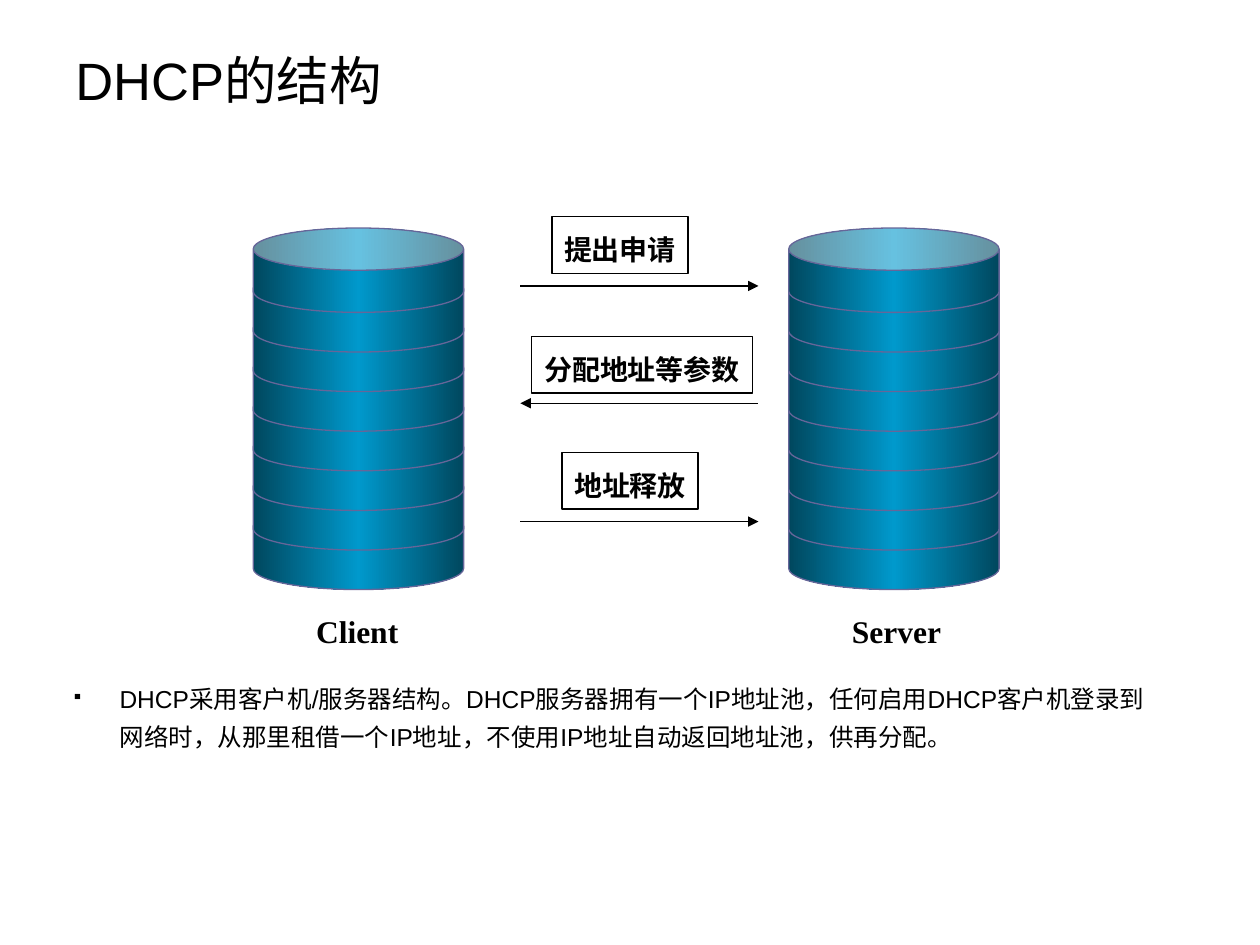
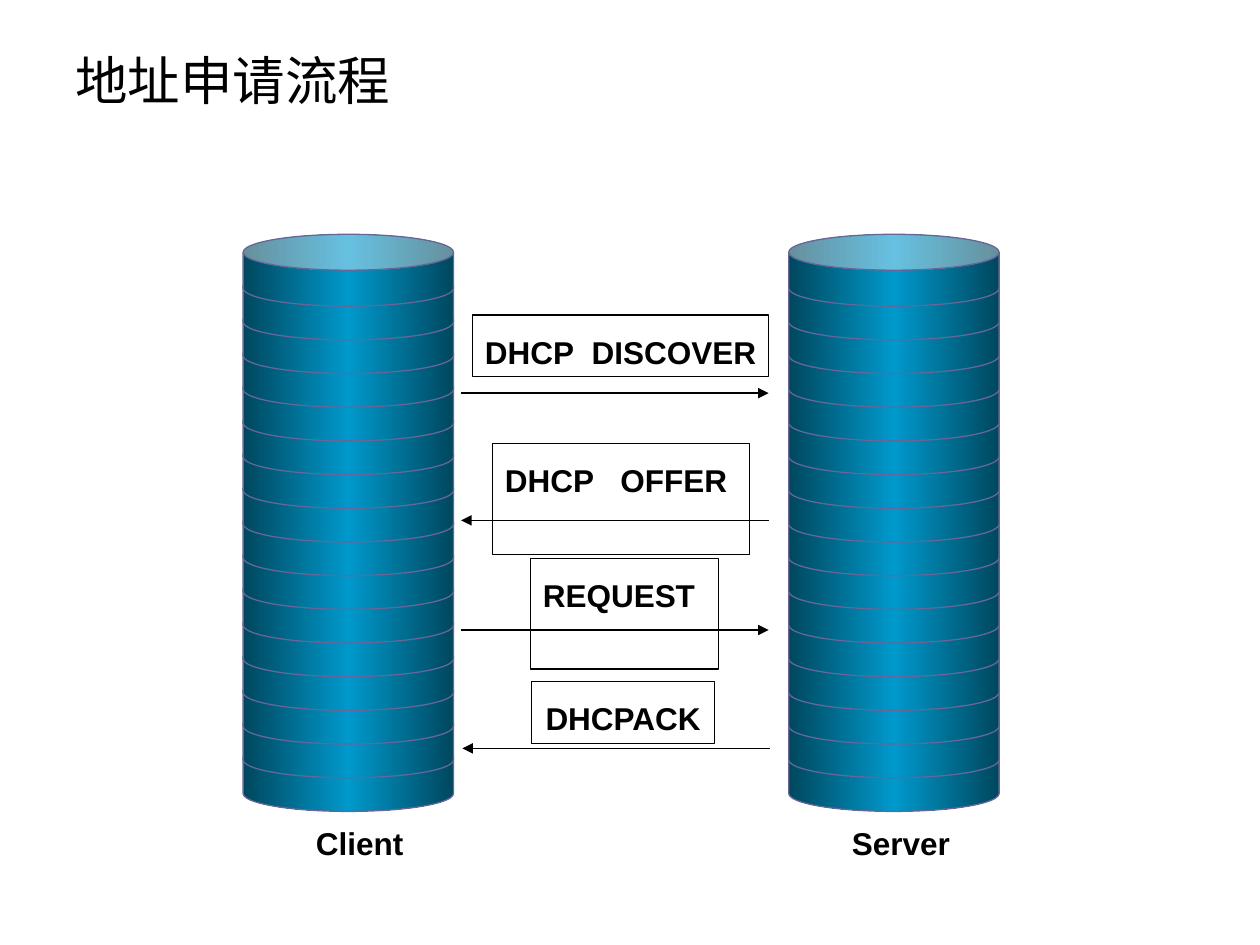
from copy import deepcopy
from pptx import Presentation
from pptx.dml.color import RGBColor
from pptx.enum.shapes import MSO_CONNECTOR as LINE, MSO_SHAPE as SHAPE
from pptx.enum.text import MSO_ANCHOR as ANCHOR, PP_ALIGN as ALIGN
from pptx.oxml.ns import qn
from pptx.oxml.xmlchemy import OxmlElement as Element
from pptx.util import Inches, Pt

BLACK = RGBColor(0, 0, 0)
DEEP = RGBColor(0x00, 0x47, 0x5E)
BRIGHT = RGBColor(0x00, 0x99, 0xCC)
RIM = RGBColor(0x66, 0x66, 0x99)
SANS = "Arial"
SERIF = "Times New Roman"
DISC_W = 1.67
SERVER_X = 6.26


def place(*box):
    return [Inches(n) for n in box]


def style(para, size, face=SANS, bold=False):
    for run in para.runs:
        font = run.font
        font.size, font.name, font.bold = Pt(size), face, bold
        font.color.rgb = BLACK


def add_title(slide, text):
    frame = slide.shapes.add_textbox(*place(0.5, 0.21, 8.2, 0.85)).text_frame
    frame.word_wrap = True
    frame.vertical_anchor = ANCHOR.MIDDLE
    frame.text = text
    style(frame.paragraphs[0], 30)


def add_bullet(slide, text, box):
    frame = slide.shapes.add_textbox(*place(*box)).text_frame
    frame.word_wrap = True
    frame.text = text
    para = frame.paragraphs[0]
    para.line_spacing = 1.3
    props = para._p.get_or_add_pPr()
    props.set("marL", str(Inches(0.38)))
    props.set("indent", str(-Inches(0.38)))
    for tag, key, value in (("buSzPct", "val", "65000"), ("buChar", "char", "▪")):
        mark = Element(f"a:{tag}")
        mark.set(key, value)
        props.append(mark)
    style(para, 14)


def add_disc(slide, x, y, height):
    disc = slide.shapes.add_shape(SHAPE.CAN, *place(x, y, DISC_W, height))
    disc.shadow.inherit = False
    disc.adjustments[0] = 0.5
    disc.line.color.rgb = RIM
    disc.line.width = Pt(0.75)
    fill = disc.fill
    fill.gradient()
    fill.gradient_angle = 0
    stops = disc._element.spPr.find(qn("a:gradFill")).find(qn("a:gsLst"))
    stops.append(deepcopy(stops[0]))
    parts = zip(fill.gradient_stops, (0, 0.5, 1), (DEEP, BRIGHT, DEEP))
    for stop, spot, color in parts:
        stop.position = spot
        stop.color.rgb = color


def add_stack(slide, x, top, low, count, height):
    step = (low - top) / (count - 1)
    for i in range(count):
        add_disc(slide, x, low - i * step, height)


def add_arrow(slide, left, right, y, end):
    arrow = slide.shapes.add_connector(LINE.STRAIGHT, *place(left, y, right, y))
    arrow.line.color.rgb = BLACK
    arrow.line.width = Pt(0.75)
    tip = Element(f"a:{end}End")
    tip.set("type", "triangle")
    arrow.line._ln.append(tip)
    arrow._element.spPr.append(Element("a:effectLst"))


def add_label(slide, text, box, size, face=SANS, frame=False, left=False, gap=0):
    label = slide.shapes.add_textbox(*place(*box))
    if frame:
        label.line.color.rgb = BLACK
        label.line.width = Pt(0.75)
    body = label.text_frame
    body.word_wrap = left
    para = body.paragraphs[0]
    para.line_spacing = 1.3
    if left:
        para.alignment = ALIGN.LEFT
    else:
        para.alignment = ALIGN.CENTER
        body.margin_left = body.margin_right = Inches(0.02)
    for part in text.partition(" "):
        if part:
            run = para.add_run()
            run.text = part
            if part == " ":
                run.font._element.set("spc", str(gap * 100))
    style(para, size, face, True)


def draw_layout(slide):
    add_title(slide, "DHCP的结构")
    for x in (2.01, SERVER_X):
        add_stack(slide, x, 1.81, 4.01, 8, 0.67)
    add_bullet(
        slide,
        "DHCP采用客户机/服务器结构。DHCP服务器拥有一个IP地址池，任何启用DHCP客户机登录到网络时，"
        "从那里租借一个IP地址，不使用IP地址自动返回地址池，供再分配。",
        (0.47, 5.31, 8.82, 1.05),
    )
    steps = [
        ("提出申请", 4.38, 1.72, 1.08, 2.27, "tail"),
        ("分配地址等参数", 4.22, 2.67, 1.75, 3.2, "head"),
        ("地址释放", 4.46, 3.59, 1.08, 4.14, "tail"),
    ]
    for text, x, y, width, line_y, end in steps:
        add_arrow(slide, 4.13, 6.02, line_y, end)
        add_label(slide, text, (x, y, width, 0.45), 16, SERIF, True)
    for text, x, width in (("Client", 2.41, 0.85), ("Server", 6.66, 0.91)):
        add_label(slide, text, (x, 4.72, width, 0.49), 18, SERIF)


def draw_flow(slide):
    add_title(slide, "地址申请流程")
    for x in (1.93, SERVER_X):
        add_stack(slide, x, 1.86, 5.87, 16, 0.57)
    for text, x, width in (("Client", 2.41, 0.89), ("Server", 6.66, 0.98)):
        add_label(slide, text, (x, 6.4, width, 0.49), 18)
    steps = [
        ("DHCP DISCOVER", (3.75, 2.5, 2.35, 0.49), 3.66, 3.12, "tail", False, 5),
        ("DHCP OFFER", (3.91, 3.52, 2.04, 0.88), 3.66, 4.13, "head", True, 10),
        ("REQUEST", (4.21, 4.43, 1.49, 0.88), 3.66, 5, "tail", True, 0),
        ("DHCPACK", (4.22, 5.41, 1.45, 0.49), 3.67, 5.94, "head", False, 0),
    ]
    for text, box, line_x, line_y, end, left, gap in steps:
        add_arrow(slide, line_x, line_x + 2.44, line_y, end)
        add_label(slide, text, box, 18, frame=True, left=left, gap=gap)


def main():
    deck = Presentation()
    deck.slide_width, deck.slide_height = place(10, 7.5)
    for draw in (draw_layout, draw_flow):
        draw(deck.slides.add_slide(deck.slide_layouts[6]))
    deck.save("out.pptx")


if __name__ == "__main__":
    main()
